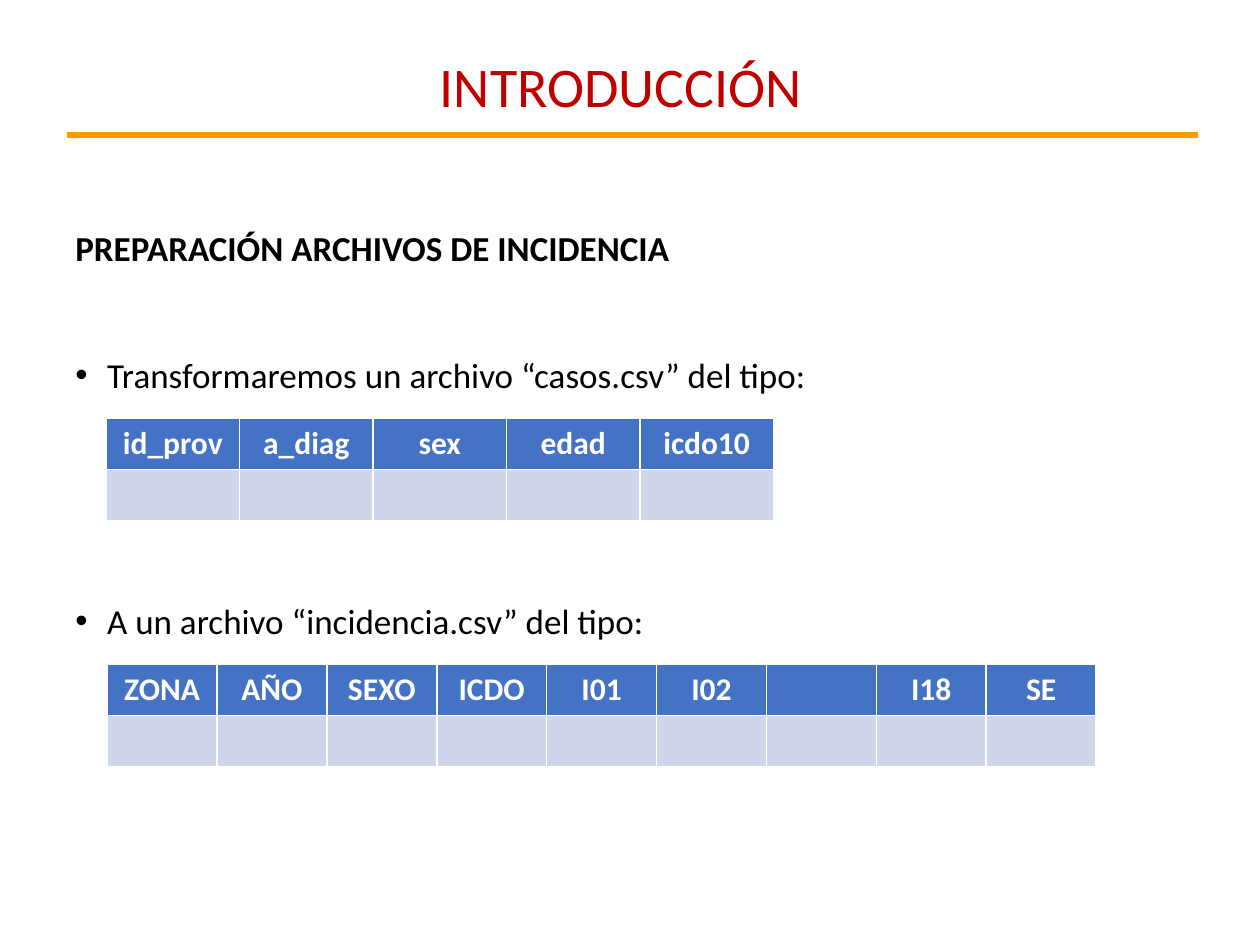
from lxml import etree
from pptx import Presentation
from pptx.dml.color import RGBColor
from pptx.enum.shapes import MSO_CONNECTOR as Link
from pptx.enum.text import MSO_ANCHOR as Anchor, PP_ALIGN as Align
from pptx.oxml.ns import qn
from pptx.util import Cm, Pt

RED = RGBColor(0xC0, 0x00, 0x00)
ORANGE = RGBColor(0xFF, 0x99, 0x00)
BLACK = RGBColor(0x00, 0x00, 0x00)
WHITE = RGBColor(0xFF, 0xFF, 0xFF)
BLUE = RGBColor(0x44, 0x72, 0xC4)
PALE = RGBColor(0xCF, 0xD5, 0xEA)


def style(par, size, color, align, bold=False):
    par.alignment = align
    for run in par.runs:
        run.font.name = "Calibri"
        run.font.size = Pt(size)
        run.font.color.rgb = color
        run.font.bold = bold


def add_bullet(par):
    props = par._p.get_or_add_pPr()
    props.set("marL", str(Cm(0.64)))
    props.set("indent", str(-Cm(0.64)))
    etree.SubElement(props, qn("a:buFont")).set("typeface", "Arial")
    etree.SubElement(props, qn("a:buChar")).set("char", "•")


deck = Presentation()
deck.slide_width, deck.slide_height = Cm(25.4), Cm(19.05)
slide = deck.slides.add_slide(deck.slide_layouts[6])
shapes = slide.shapes

# Title and rule
title = shapes.add_textbox(Cm(1.09), Cm(0.71), Cm(22.86), Cm(2.01)).text_frame
title.word_wrap = True
title.vertical_anchor = Anchor.MIDDLE
title.text = "INTRODUCCIÓN"
style(title.paragraphs[0], 32, RED, Align.CENTER)

rule = shapes.add_connector(Link.STRAIGHT, Cm(1.35), Cm(2.72), Cm(24.16), Cm(2.72))
rule.line.color.rgb = ORANGE
rule.line.width = Pt(3)
etree.SubElement(rule._element.spPr, qn("a:effectLst"))

# Text blocks: top, then (text, is bullet, space before)
blocks = [
    (4.45, [("PREPARACIÓN ARCHIVOS DE INCIDENCIA", False, 12),
            ("Transformaremos un archivo “casos.csv” del tipo:", True, 48.4)]),
    (11.96, [("A un archivo “incidencia.csv” del tipo:", True, 12)]),
]
for top, lines in blocks:
    frame = shapes.add_textbox(Cm(1.27), Cm(top), Cm(22.89), Cm(4.6)).text_frame
    frame.word_wrap = True
    frame.text = "\n".join(text for text, _, _ in lines)
    for par, (_, bullet, gap) in zip(frame.paragraphs, lines):
        style(par, 20, BLACK, Align.JUSTIFY, bold=not bullet)
        par.space_before = Pt(gap)
        if bullet:
            add_bullet(par)

# Tables: left, top, column width, column names
tables = [
    (2.14, 8.43, 2.69, ["id_prov", "a_diag", "sex", "edad", "icdo10"]),
    (2.16, 13.39, 2.215, ["ZONA", "AÑO", "SEXO", "ICDO", "I01", "I02", "", "I18", "SE"]),
]
for left, top, width, names in tables:
    count = len(names)
    grid = shapes.add_table(2, count, Cm(left), Cm(top), Cm(width * count), Cm(2.06)).table
    for col, name in enumerate(names):
        grid.columns[col].width = Cm(width)
        head, body = grid.cell(0, col), grid.cell(1, col)
        for cell, color in ((head, BLUE), (body, PALE)):
            cell.fill.solid()
            cell.fill.fore_color.rgb = color
        if name:
            head.text_frame.text = name
            style(head.text_frame.paragraphs[0], 18, WHITE, Align.CENTER, bold=True)

deck.save("out.pptx")
